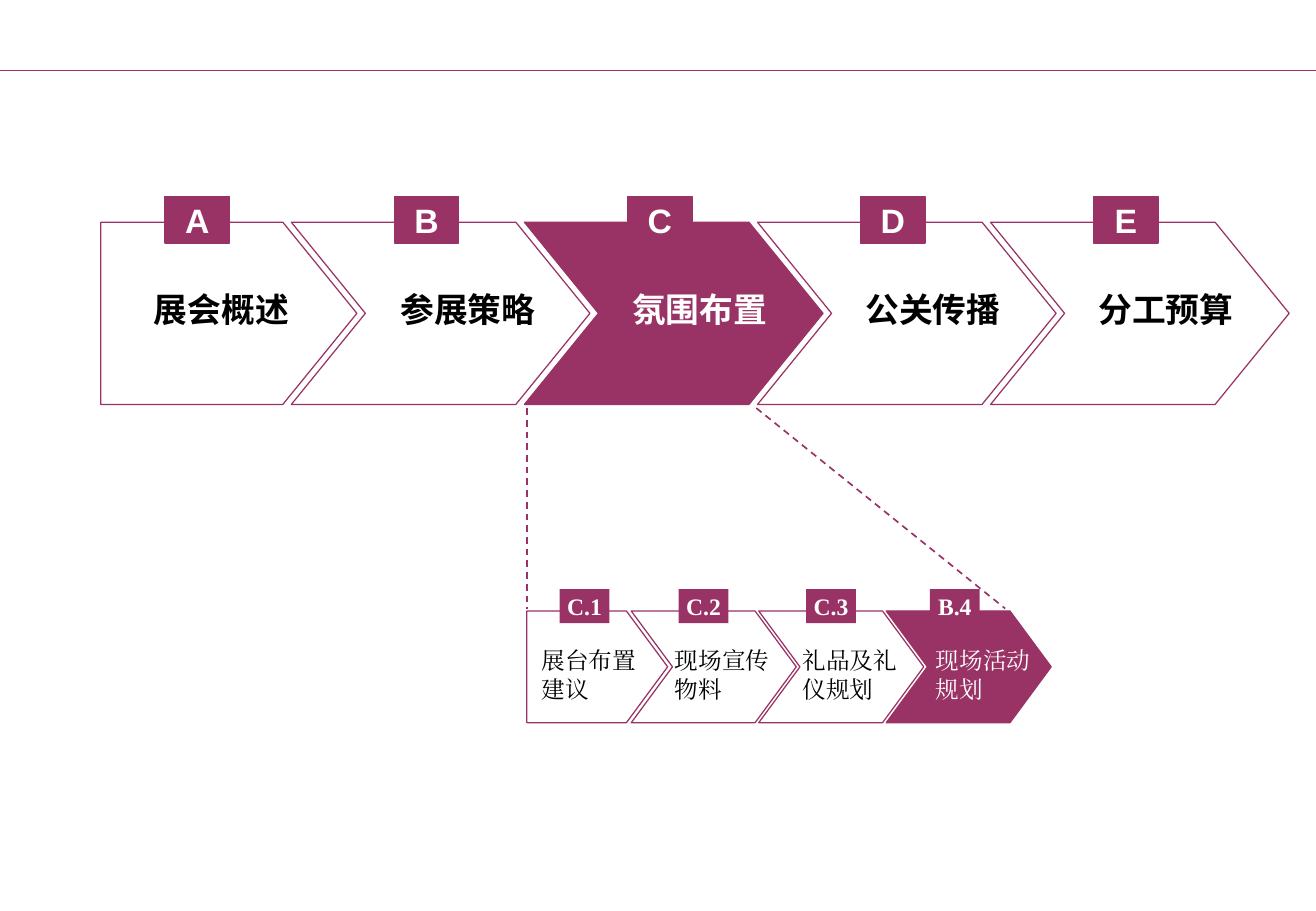
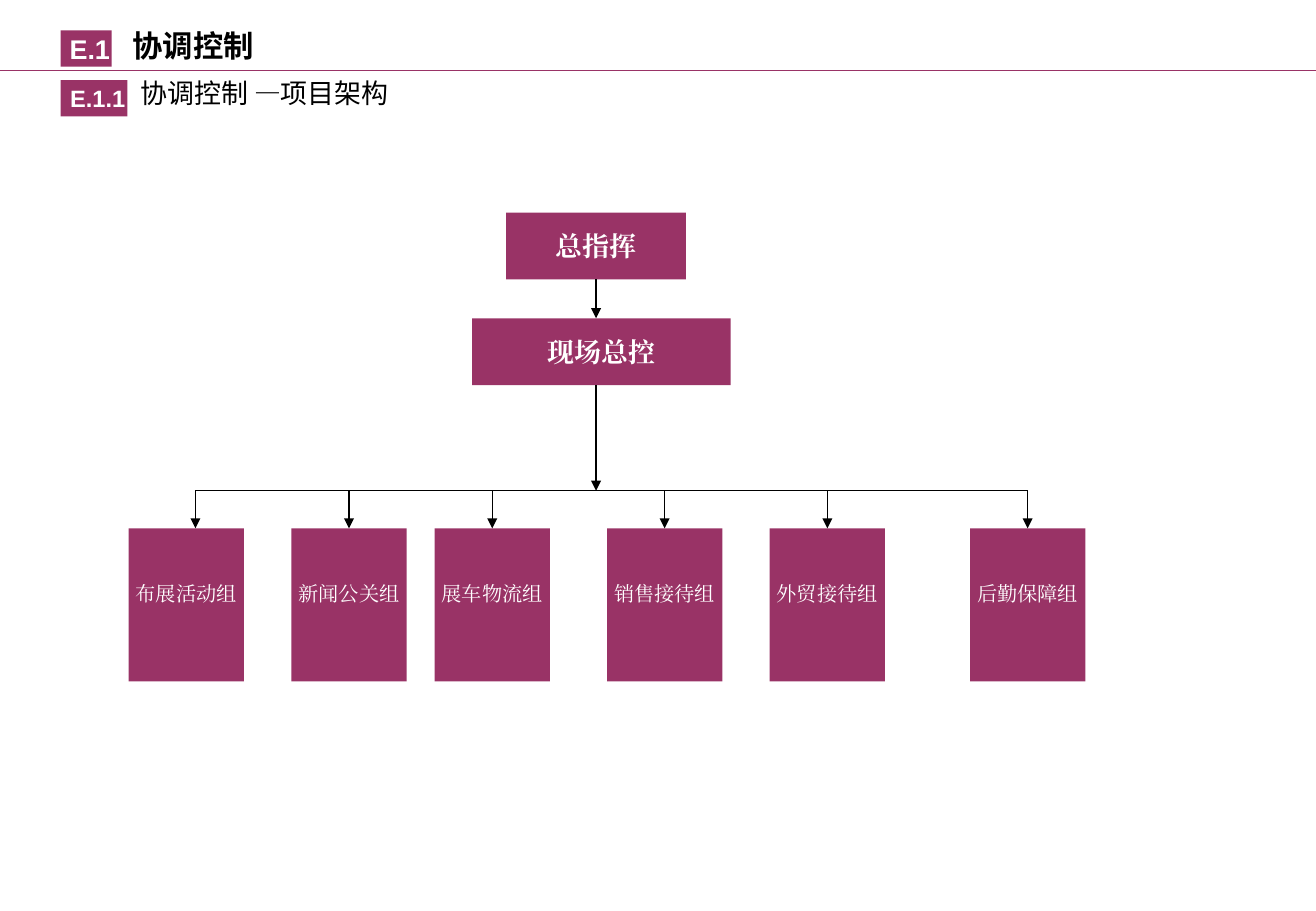
import pptx
import pptx.util
import pptx.dml.color
import pptx.enum.dml
import pptx.enum.shapes
import pptx.enum.text
import pptx.oxml.ns
from lxml import etree
from dataclasses import dataclass

Inches = pptx.util.Inches
Pt = pptx.util.Pt
RGBColor = pptx.dml.color.RGBColor
ANCHOR = pptx.enum.text.MSO_ANCHOR
ALIGN = pptx.enum.text.PP_ALIGN
qn = pptx.oxml.ns.qn

PLUM = RGBColor(0x99, 0x33, 0x66)
WHITE = RGBColor(0xFF, 0xFF, 0xFF)
BLACK = RGBColor(0, 0, 0)
SANS = "Arial"
SERIF = "Times New Roman"
CJK = "Noto Sans CJK SC"


@dataclass
class RowStyle:
    first_w: float
    w: float
    first_step: float
    step: float
    h: float
    tip: float
    tag_w: float
    tag_h: float
    tag_rise: float
    tag_font: str
    tag_outline: bool
    label_dy: float
    label_w: float
    label_h: float
    label_font: str
    label_bold: bool
    label_margins: tuple
    size: int


MAIN_ROW = RowStyle(2.11, 2.46, 1.57, 1.92, 1.5, 0.61, 0.53, 0.38, 0.21, SANS, True,
                    0.5, 1.6, 0.44, CJK, True, (0.1, 0.05, 0.1, 0.05), 20)
SUB_ROW = RowStyle(1.16, 1.36, 0.86, 1.05, 0.92, 0.34, 0.41, 0.28, 0.18, SERIF, False,
                   0.29, 0.91, 0.47, SERIF, False, (0, 0, 0, 0), 14)

MAIN_STEPS = [("A", "展会概述", 0.53, 0.34), ("B", "参展策略", 0.85, 0.8),
              ("C", "氛围布置", 0.85, 0.79), ("D", "公关传播", 0.85, 0.79),
              ("E", "分工预算", 0.85, 0.79)]
SUB_STEPS = [("C.1", "展台布置建议", 0.27, 0.12), ("C.2", "现场宣传物料", 0.39, 0.36),
             ("C.3", "礼品及礼仪规划", 0.39, 0.36), ("B.4", "现场活动规划", 0.36, 0.41)]
GROUPS = [("布展活动组", 0), ("新闻公关组", 1.34), ("展车物流组", 2.52),
          ("销售接待组", 3.94), ("外贸接待组", 5.28), ("后勤保障组", 6.93)]


def write(shape, text, size, font, color, bold=False, align=ALIGN.LEFT,
          anchor=ANCHOR.TOP, wrap=True, margins=(0.1, 0.05, 0.1, 0.05)):
    tf = shape.text_frame
    tf.auto_size = pptx.enum.text.MSO_AUTO_SIZE.NONE
    tf.word_wrap = wrap
    tf.vertical_anchor = anchor
    tf.margin_left, tf.margin_top, tf.margin_right, tf.margin_bottom = map(Inches, margins)
    p = tf.paragraphs[0]
    p.alignment = align
    r = p.add_run()
    r.text = text
    r.font.size = Pt(size)
    r.font.name = font
    r.font.bold = bold
    r.font.color.rgb = color
    ea = etree.SubElement(r.font._element, qn("a:ea"))
    ea.set("typeface", font)


def add_text(s, x, y, w, h, text, size, font, color, **options):
    tb = s.shapes.add_textbox(Inches(x), Inches(y), Inches(w), Inches(h))
    write(tb, text, size, font, color, **options)


def add_box(s, x, y, w, h, text, size, font, bold=True, outline=False, margins=(0, 0, 0, 0)):
    sp = s.shapes.add_shape(pptx.enum.shapes.MSO_SHAPE.RECTANGLE,
                            Inches(x), Inches(y), Inches(w), Inches(h))
    sp.shadow.inherit = False
    sp.fill.solid()
    sp.fill.fore_color.rgb = PLUM
    if outline:
        sp.line.color.rgb = PLUM
        sp.line.width = Pt(0.75)
    else:
        sp.line.fill.background()
    write(sp, text, size, font, WHITE, bold=bold, align=ALIGN.CENTER,
          anchor=ANCHOR.MIDDLE, wrap=False, margins=margins)
    return sp


def add_line(s, x1, y1, x2, y2, color=BLACK, width=0.75, dashed=False, arrow=False):
    line = s.shapes.add_connector(pptx.enum.shapes.MSO_CONNECTOR.STRAIGHT,
                                  Inches(x1), Inches(y1), Inches(x2), Inches(y2))
    line.line.color.rgb = color
    line.line.width = Pt(width)
    if dashed:
        line.line.dash_style = pptx.enum.dml.MSO_LINE.DASH
    if arrow:
        tail = etree.SubElement(line.line._get_or_add_ln(), qn("a:tailEnd"))
        tail.set("type", "triangle")
    etree.SubElement(line.element.spPr, qn("a:effectLst"))
    return line


def add_chevron(s, x, y, w, h, tip, notched, active):
    points = [(x + w - tip, y), (x + w, y + h / 2), (x + w - tip, y + h), (x, y + h)]
    if notched:
        points.append((x + tip, y + h / 2))
    builder = s.shapes.build_freeform(Inches(x), Inches(y))
    builder.add_line_segments([(Inches(px), Inches(py)) for px, py in points], close=True)
    sp = builder.convert_to_shape()
    sp.shadow.inherit = False
    sp.fill.solid()
    sp.fill.fore_color.rgb = PLUM if active else WHITE
    sp.line.color.rgb = PLUM
    sp.line.width = Pt(0.75)


def add_chevron_row(s, x, y, style, steps, active_tag):
    for i, (tag, label, tag_dx, label_dx) in enumerate(steps):
        left = x + style.first_step + (i - 1) * style.step if i else x
        active = tag == active_tag
        add_chevron(s, left, y, style.w if i else style.first_w, style.h, style.tip, i > 0, active)
        add_text(s, left + label_dx, y + style.label_dy, style.label_w, style.label_h, label,
                 style.size, style.label_font, WHITE if active else BLACK,
                 bold=style.label_bold, margins=style.label_margins)
        add_box(s, left + tag_dx, y - style.tag_rise, style.tag_w, style.tag_h, tag,
                style.size, style.tag_font, outline=style.tag_outline)


def add_heading(s, x, y):
    tag_margins = (0.06, 0, 0, 0)
    add_box(s, x, y, 0.42, 0.3, "E.1", 16, SANS, margins=tag_margins)
    title = s.shapes.title
    title.left, title.top = Inches(x + 0.49), Inches(y - 0.08)
    title.width, title.height = Inches(2.17), Inches(0.4)
    write(title, "协调控制", 18, CJK, BLACK, bold=True)
    add_box(s, x, y + 0.41, 0.55, 0.3, "E.1.1", 14, SANS, margins=tag_margins)
    add_text(s, x + 0.56, y + 0.33, 2.36, 0.37, "协调控制 —项目架构", 16, CJK, BLACK)


def add_org_chart(s, x, y):
    trunk, bus, groups_top = x + 3.85, y + 2.29, y + 2.6
    first_drop, group_w = x + 0.55, 0.95
    commander = add_box(s, x + 3.11, y, 1.48, 0.55, "总指挥", 16, SERIF)
    add_box(s, x + 2.83, y + 0.87, 2.13, 0.55, "现场总控", 16, SERIF)
    add_line(s, trunk, y + 0.55, trunk, y + 0.87, arrow=True).begin_connect(commander, 2)
    add_line(s, trunk, y + 1.42, trunk, bus, arrow=True)
    add_line(s, first_drop, bus, x + GROUPS[-1][1] + group_w / 2, bus)
    for i, (name, dx) in enumerate(GROUPS):
        group = add_box(s, x + dx, groups_top, group_w, 1.26, name, 12, SERIF,
                        bold=False, margins=(0, 0.05, 0, 0.24))
        drop = x + dx + group_w / 2 if i else first_drop
        arrow = add_line(s, drop, bus, drop, groups_top, arrow=True)
        if i:
            arrow.end_connect(group, 0)


def add_master_rule(prs, s):
    rule = add_line(s, 0, 0.58, 10.84, 0.58, color=PLUM)
    rule.element.nvCxnSpPr.cNvPr.set("id", "100")
    prs.slide_master.shapes.element.append(rule.element)


def build_process_slide(prs):
    s = prs.slides.add_slide(prs.slide_layouts[6])
    add_master_rule(prs, s)
    add_chevron_row(s, 0.83, 1.83, MAIN_ROW, MAIN_STEPS, "C")
    add_line(s, 4.34, 3.36, 4.34, 5.01, color=PLUM, width=1, dashed=True)
    add_line(s, 6.23, 3.36, 8.28, 5.01, color=PLUM, width=1, dashed=True)
    add_chevron_row(s, 4.34, 5.03, SUB_ROW, SUB_STEPS, "B.4")


def build_org_slide(prs):
    s = prs.slides.add_slide(prs.slide_layouts[5])
    add_heading(s, 0.5, 0.25)
    add_org_chart(s, 1.06, 1.75)


def main():
    prs = pptx.Presentation()
    prs.slide_width, prs.slide_height = Inches(10.84), Inches(7.5)
    build_process_slide(prs)
    build_org_slide(prs)
    prs.save("out.pptx")


if __name__ == "__main__":
    main()
